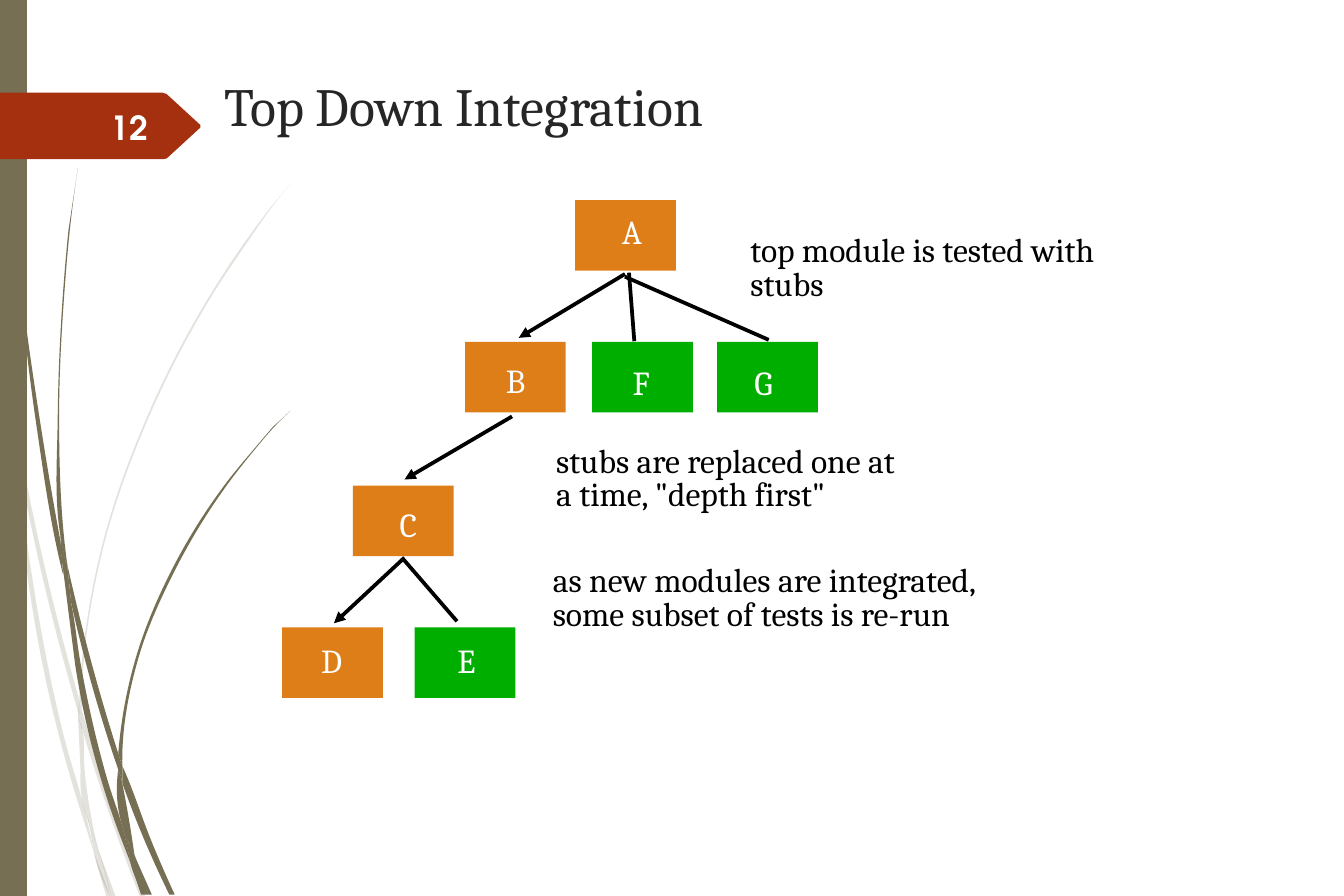
from math import dist

from lxml.etree import SubElement
from pptx import Presentation
from pptx.dml.color import RGBColor
from pptx.enum.shapes import MSO_CONNECTOR, MSO_SHAPE
from pptx.enum.text import MSO_ANCHOR, MSO_AUTO_SIZE, PP_ALIGN
from pptx.oxml.ns import qn
from pptx.util import Inches, Pt

COLORS = {
    "olive": "766F54", "rust": "A53010", "integrated": "DE7E18", "stub": "00AE00",
    "title": "262626", "ink": "000000", "label": "FFFFFF", "number": "FEFFFF",
}
# The slide is a grid of 100 columns by 66.7 rows
COLUMNS, ROWS = 100, 66.7
CELL = Inches(0.1)
MODULE_WIDTH, MODULE_HEIGHT = 7.5, 5.25
TEXT_HEIGHT, LINE_STEP = 4, 2.5

# Each strand piece is a pair of edges: down one side, back along the other
PALE_STRANDS = [
    ([(.8, 31.1), (.6, 28.6), (0, 25)], [(0, 26.6), (.7, 30.6)]),
    ([(1, 30.7), (4.3, 46.2), (5.9, 52.1)], [(5.9, 53.3), (4, 46.4), (1.2, 33.4)]),
    ([(6.1, 52.9), (6.4, 53.9), (8.8, 61.5), (10.8, 66.7)],
     [(10.4, 66.7), (8.5, 61.6), (6.1, 54.2)]),
    ([(7.3, 63.2), (8.6, 66.7)], [(8.3, 66.7)]),
    ([(.8, 31.1), (1.2, 33.4), (2.2, 41.7), (4.8, 55), (6.4, 60.7), (7, 63.5)],
     [(6.4, 61.6), (4.5, 55.2), (1.9, 41.7)]),
    ([(5.8, 53.3), (6.1, 54.2), (6.3, 57.4), (7.3, 63.2)],
     [(6.7, 61.5), (6.4, 60.7), (6, 57.4)]),
    ([(6.1, 52.9), (6.1, 51.9), (7.6, 41.1), (11.1, 31), (15.9, 21.8), (18.7, 17.6),
      (20.1, 15.6), (21.7, 13.6)],
     [(20.1, 15.5), (18.6, 17.5), (15.8, 21.7), (11, 30.9), (7.5, 41), (5.9, 51.9)]),
    ([(7, 63.5), (7.9, 66.7)], [(8.2, 66.7)]),
    ([(6.1, 54.3), (6.1, 53)], [(5.9, 52.1), (5.8, 53.3)]),
    ([(6.5, 60.7), (6.9, 62.9), (7, 63.5), (8.2, 66.7)],
     [(8.3, 66.7), (7.3, 63.2), (6.7, 61.5)]),
]
DARK_STRANDS = [
    ([(.2, 0), (.3, 4.3), (.5, 9.8), (1.4, 20.7), (2.7, 31.6), (4.6, 42.4), (4.7, 42.8)],
     [(4.5, 40.3), (3, 31.5), (1.5, 20.6), (.6, 9.7), (.4, 4.3), (.3, 0)]),
    ([(5, 42), (7.7, 52.5), (8.8, 56.1)], [(8.8, 57.3), (7.3, 52.6), (5.3, 44.9)]),
    ([(9.1, 57), (9.4, 57.7), (11.3, 62.7), (13, 66.6)],
     [(12.6, 66.6), (10.9, 62.9), (9.1, 58.3)]),
    ([(4.7, 42.4), (5.3, 44.9), (6, 49.4), (8.1, 58.4), (9.1, 61.5), (9.7, 64.2)],
     [(9.2, 62.9), (7.7, 58.6), (5.6, 49.5)]),
    ([(5, 42), (4.8, 40.3), (4.4, 31), (4.8, 21.7), (5.2, 17.1), (5.8, 12.5)],
     [(5.1, 17.1), (4.7, 21.7), (4.3, 31), (4.5, 39.9), (4.9, 41.9)]),
    ([(10.1, 63.9), (11, 66.6)], [(11.3, 66.6)]),
    ([(4.5, 39.9), (4.7, 42.4), (5.3, 44.9)], [(5, 42), (4.9, 41.9)]),
    ([(9.1, 57), (9.1, 56.3), (10.3, 49), (13.1, 42.3), (16.9, 36.1), (19.1, 33.3),
      (20.3, 31.9), (21.6, 30.6)],
     [(20.3, 31.8), (19.1, 33.2), (16.8, 36), (12.9, 42.2), (10.1, 49), (8.8, 56.1)]),
    ([(9.7, 64.2), (10.5, 66.6)], [(10.8, 66.6)]),
    ([(8.8, 57.3), (9.1, 61.5), (9.6, 62.8), (10.1, 63.9)],
     [(10, 63.6), (9.1, 58.3), (9, 57.8)]),
    ([(8.8, 57.3), (9, 57.8), (9.1, 58.3)], [(9.1, 57), (8.8, 56.1)]),
    ([(9.1, 61.5), (9.6, 63.7), (9.7, 64.2), (10.8, 66.6)],
     [(11, 66.6), (10.1, 63.9), (9.6, 62.8)]),
]
NUMBER_TAG = [(0, 6.9), (12.1, 6.9), (12.4, 7), (14.9, 9.3), (14.9, 9.5),
              (12.4, 11.8), (12.1, 11.85), (0, 11.85)]

# Module: left, top, state, then label left, top and width
MODULES = {
    "A": (42.8, 14.9, "integrated", 45.3, 15.2, 3.6),
    "B": (34.6, 25.45, "integrated", 36.65, 26.3, 3.5),
    "C": (26.25, 36.15, "integrated", 28.75, 37, 3.5),
    "D": (21, 46.7, "integrated", 22.9, 47.15, 3.8),
    "E": (30.85, 46.7, "stub", 33.05, 47.15, 3.5),
    "F": (44.05, 25.45, "stub", 46.1, 26.45, 3.4),
    "G": (53.35, 25.45, "stub", 55.15, 26.45, 3.6),
}
STUB_LINES = [(29.9, 41.5, 34, 46.25), (46.8, 20.3, 47.2, 25.4), (46.5, 20.6, 57.2, 25.3)]
ARROWS = [(46.5, 20.4, 38.6, 25.15), (38.1, 31, 30.1, 35.7), (29.9, 41.7, 24.85, 46.4)]
# Note: left, top, then each line with its width
NOTES = [
    (54.85, 16.55, [("top module is tested with", 29.8), ("stubs", 7.8)]),
    (40.4, 32.25, [("stubs are replaced one at", 29.4), ('a time, "depth first"', 23.1)]),
    (40.15, 41.15, [("as new modules are integrated,", 36.1),
                    ("some subset of tests is re-run", 33.5)]),
]


def curve_points(points):
    """Bezier points of a smooth curve: anchor, two controls, anchor, and so on."""
    gaps = [dist(a, b) for a, b in zip(points, points[1:])]
    slopes = [[(q - p) / gap for p, q in zip(a, b)]
              for a, b, gap in zip(points, points[1:], gaps)]
    if not slopes:
        return list(points)
    inner = [[(after * s + before * t) / (before + after) for s, t in zip(first, second)]
             for first, second, before, after in zip(slopes, slopes[1:], gaps, gaps[1:])]
    ends = [[2 * s - t for s, t in zip(slopes[end], (inner or slopes)[end])] for end in (0, -1)]
    tangents = [ends[0], *inner, ends[1]]
    result = [points[0]]
    for a, b, leave, arrive, gap in zip(points, points[1:], tangents, tangents[1:], gaps):
        result += [[p + m * gap / 3 for p, m in zip(a, leave)],
                   [p - m * gap / 3 for p, m in zip(b, arrive)], b]
    return result


class Page:
    font = "Cambria"

    def __init__(self, deck):
        self.shapes = deck.slides.add_slide(deck.slide_layouts[6]).shapes

    def cells(self, *lengths):
        return [round(length * CELL) for length in lengths]

    def paint(self, shape, color, opacity=100):
        shape.shadow.inherit = False
        shape.line.fill.background()
        shape.fill.solid()
        shape.fill.fore_color.rgb = RGBColor.from_string(COLORS[color])
        if opacity < 100:
            tone = shape.fill._xPr.find(qn("a:solidFill"))[0]
            SubElement(tone, qn("a:alpha"), val=str(opacity * 1000))

    def rectangle(self, left, top, width, height, color):
        box = self.shapes.add_shape(MSO_SHAPE.RECTANGLE, *self.cells(left, top, width, height))
        self.paint(box, color)

    def outline(self, points, color, opacity=100):
        corners = [self.cells(*point) for point in points]
        builder = self.shapes.build_freeform(*corners[0])
        builder.add_line_segments(corners[1:], close=True)
        shape = builder.convert_to_shape()
        self.paint(shape, color, opacity)
        return shape

    def strand(self, down, back, opacity):
        first, second = curve_points(down), curve_points(back)
        shape = self.outline(first + second, "olive", opacity)
        lines = list(shape._element.iter(qn("a:lnTo")))
        # Turn each run of two controls and an anchor into one curve
        for edge in (lines[:len(first) - 1], lines[len(first):len(first) + len(second) - 1]):
            for start, *others in zip(edge[::3], edge[1::3], edge[2::3]):
                start.tag = qn("a:cubicBezTo")
                for other in others:
                    start.append(other[0])
                    other.getparent().remove(other)

    def text(self, words, left, top, width, height=TEXT_HEIGHT, color="ink", size=18,
             font=font, wrap=False):
        box = self.shapes.add_textbox(*self.cells(left, top, width, height))
        frame = box.text_frame
        frame.word_wrap = wrap
        frame.auto_size = MSO_AUTO_SIZE.NONE if wrap else MSO_AUTO_SIZE.SHAPE_TO_FIT_TEXT
        frame.text = words
        span = frame.paragraphs[0].runs[0]
        span.font.name, span.font.size = font, Pt(size)
        span.font.color.rgb = RGBColor.from_string(COLORS[color])
        return frame

    def line(self, ends, arrow=False):
        link = self.shapes.add_connector(MSO_CONNECTOR.STRAIGHT, *self.cells(*ends))
        link.line.width = Pt(2)
        link.line.color.rgb = RGBColor.from_string(COLORS["ink"])
        if arrow:
            SubElement(link.line._get_or_add_ln(), qn("a:tailEnd"), type="triangle")
        SubElement(link._element.spPr, qn("a:effectLst"))


def main():
    deck = Presentation()
    deck.slide_width, deck.slide_height = round(COLUMNS * CELL), round(ROWS * CELL)
    page = Page(deck)

    # Decorative strands and side bar
    for strands, opacity in ((PALE_STRANDS, 20), (DARK_STRANDS, 100)):
        for down, back in strands:
            page.strand(down, back, opacity)
    page.rectangle(0, 0, 2, ROWS, "olive")

    # Slide number and title
    page.outline(NUMBER_TAG, "rust")
    page.text("Top Down Integration", 15.7, 4.95, 71.2, 2.9, "title", 28.8, wrap=True)
    number = page.text("12", 5.6, 7.85, 6.4, 3.6, "number", 17.8, "TeX Gyre Adventor", wrap=True)
    number.vertical_anchor = MSO_ANCHOR.MIDDLE
    para = number.paragraphs[0]
    para.alignment, para.line_spacing = PP_ALIGN.RIGHT, 0.9
    para.runs[0].font.bold = True

    # Module tree
    for left, top, state, *_ in MODULES.values():
        page.rectangle(left, top, MODULE_WIDTH, MODULE_HEIGHT, state)
    for ends in STUB_LINES:
        page.line(ends)

    # Notes beside the tree, then module labels
    for left, top, lines in NOTES:
        for row, (words, width) in enumerate(lines):
            page.text(words, left, top + row * LINE_STEP, width)
    for name, (*_, left, top, width) in MODULES.items():
        page.text(name, left, top, width, color="label")

    # Integration order, depth first
    for ends in ARROWS:
        page.line(ends, arrow=True)

    deck.save("out.pptx")


if __name__ == "__main__":
    main()
